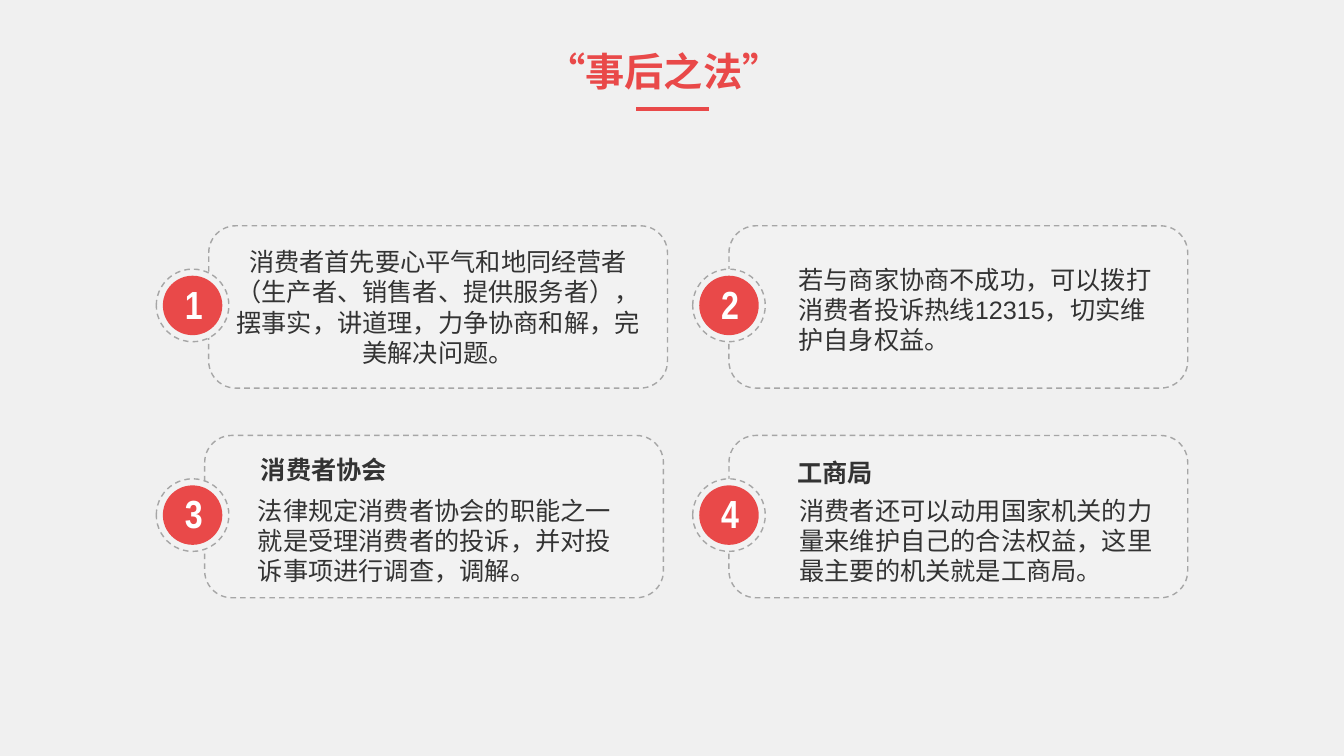
from dataclasses import dataclass

from pptx import Presentation
from pptx.dml.color import RGBColor
from pptx.enum.dml import MSO_LINE_DASH_STYLE as Dash
from pptx.enum.lang import MSO_LANGUAGE_ID as Language
from pptx.enum.shapes import MSO_CONNECTOR as Connector, MSO_SHAPE as Shape
from pptx.enum.text import MSO_ANCHOR as Anchor, MSO_AUTO_SIZE as AutoSize, PP_ALIGN as Align
from pptx.oxml.xmlchemy import OxmlElement
from pptx.util import Inches, Pt


@dataclass(frozen=True)
class Theme:
    background: str = "F0F0F0"
    panel: str = "F2F2F2"
    border: str = "A6A6A6"
    accent: str = "E94949"
    ink: str = "333333"
    light: str = "FFFFFF"
    body_font: str = "Arial"
    display_font: str = "Arial Narrow"
    body_size: int = 18
    display_size: int = 28


def rgb(value):
    return RGBColor.from_string(value)


def write(frame, text, *, font, size, color, bold=False, align=Align.LEFT, anchor=Anchor.TOP):
    frame.vertical_anchor = anchor
    paragraph = frame.paragraphs[0]
    paragraph.alignment = align
    run = paragraph.add_run()
    run.text = text
    run.font.name = font
    run.font.size = Pt(size)
    run.font.bold = bold
    run.font.color.rgb = rgb(color)
    run.font.language_id = Language.SIMPLIFIED_CHINESE


class SlideBuilder:
    def __init__(self, presentation, theme):
        self.theme = theme
        self.slide = presentation.slides.add_slide(presentation.slide_layouts[5])
        self.slide.background.fill.solid()
        self.slide.background.fill.fore_color.rgb = rgb(theme.background)
        self.body = dict(font=theme.body_font, size=theme.body_size, color=theme.ink)
        self.display = dict(font=theme.display_font, size=theme.display_size,
                            bold=True, align=Align.CENTER)

    def title(self, text, left, top, width, height):
        title = self.slide.shapes.title
        title.left, title.top = Inches(left), Inches(top)
        title.width, title.height = Inches(width), Inches(height)
        title.text_frame.auto_size = AutoSize.NONE
        write(title.text_frame, text, color=self.theme.accent, **self.display)

    def rule(self, left, right, y):
        line = self.slide.shapes.add_connector(
            Connector.STRAIGHT, Inches(left), Inches(y), Inches(right), Inches(y))
        line.line.color.rgb = rgb(self.theme.accent)
        line.line.width = Pt(3)
        line._element.spPr.append(OxmlElement("a:effectLst"))

    def shape(self, group, kind, left, top, width, height, fill, dashed=False):
        shape = group.shapes.add_shape(
            kind, Inches(left), Inches(top), Inches(width), Inches(height))
        shape.shadow.inherit = False
        shape.fill.solid()
        shape.fill.fore_color.rgb = rgb(fill)
        if dashed:
            shape.line.color.rgb = rgb(self.theme.border)
            shape.line.width = Pt(1)
            shape.line.dash_style = Dash.DASH
        else:
            shape.line.fill.background()
        return shape

    def text(self, group, text, left, top, width, height, wrap=True, **style):
        box = group.shapes.add_textbox(
            Inches(left), Inches(top), Inches(width), Inches(height))
        box.text_frame.word_wrap = wrap
        box.text_frame.auto_size = AutoSize.SHAPE_TO_FIT_TEXT
        write(box.text_frame, text, **style)

    def badge(self, group, number, left, top):
        self.shape(group, Shape.OVAL, left, top, 0.72, 0.72, self.theme.panel, dashed=True)
        self.shape(group, Shape.OVAL, left + 0.065, top + 0.065, 0.59, 0.59, self.theme.accent)
        self.text(group, str(number), left + 0.185, top + 0.06, 0.34, 0.57, wrap=False,
                  color=self.theme.light, **self.display)

    def card(self, number, left, top, badge_left, body, body_at=None,
             heading=None, heading_at=None):
        group = self.slide.shapes.add_group_shape()
        panel = self.shape(group, Shape.ROUNDED_RECTANGLE, left, top, 4.55, 1.61,
                           self.theme.panel, dashed=True)
        self.badge(group, number, badge_left, top + 0.43)
        if heading:
            self.text(group, heading, *heading_at, 1.93, 0.4, bold=True, **self.body)
        if body_at:
            self.text(group, body, *body_at, 3.71, 1.01, **self.body)
        else:
            panel.text_frame.word_wrap = True
            write(panel.text_frame, body, align=Align.CENTER, anchor=Anchor.MIDDLE, **self.body)


def main():
    presentation = Presentation()
    presentation.slide_width, presentation.slide_height = Inches(13.33), Inches(7.5)
    builder = SlideBuilder(presentation, Theme())
    builder.title("“事后之法”", 4.34, 0.42, 4.49, 0.57)
    builder.rule(6.31, 7.03, 1.08)

    upper, lower = 2.24, 4.32
    left_badge, right_badge = 1.55, 6.87
    right_card = 7.23
    builder.card(1, 2.07, upper, left_badge,
                 "消费者首先要心平气和地同经营者（生产者、销售者、提供服务者），"
                 "摆事实，讲道理，力争协商和解，完美解决问题。")
    builder.card(2, right_card, upper, right_badge,
                 "若与商家协商不成功，可以拨打消费者投诉热线12315，切实维护自身权益。",
                 body_at=(7.82, 2.57))
    builder.card(3, 2.03, lower, left_badge,
                 "法律规定消费者协会的职能之一就是受理消费者的投诉，并对投诉事项进行调查，调解。",
                 body_at=(2.46, 4.86), heading="消费者协会", heading_at=(2.49, 4.46))
    builder.card(4, right_card, lower, right_badge,
                 "消费者还可以动用国家机关的力量来维护自己的合法权益，这里最主要的机关就是工商局。",
                 body_at=(7.83, 4.86), heading="工商局", heading_at=(7.81, 4.49))
    presentation.save("out.pptx")


if __name__ == "__main__":
    main()
